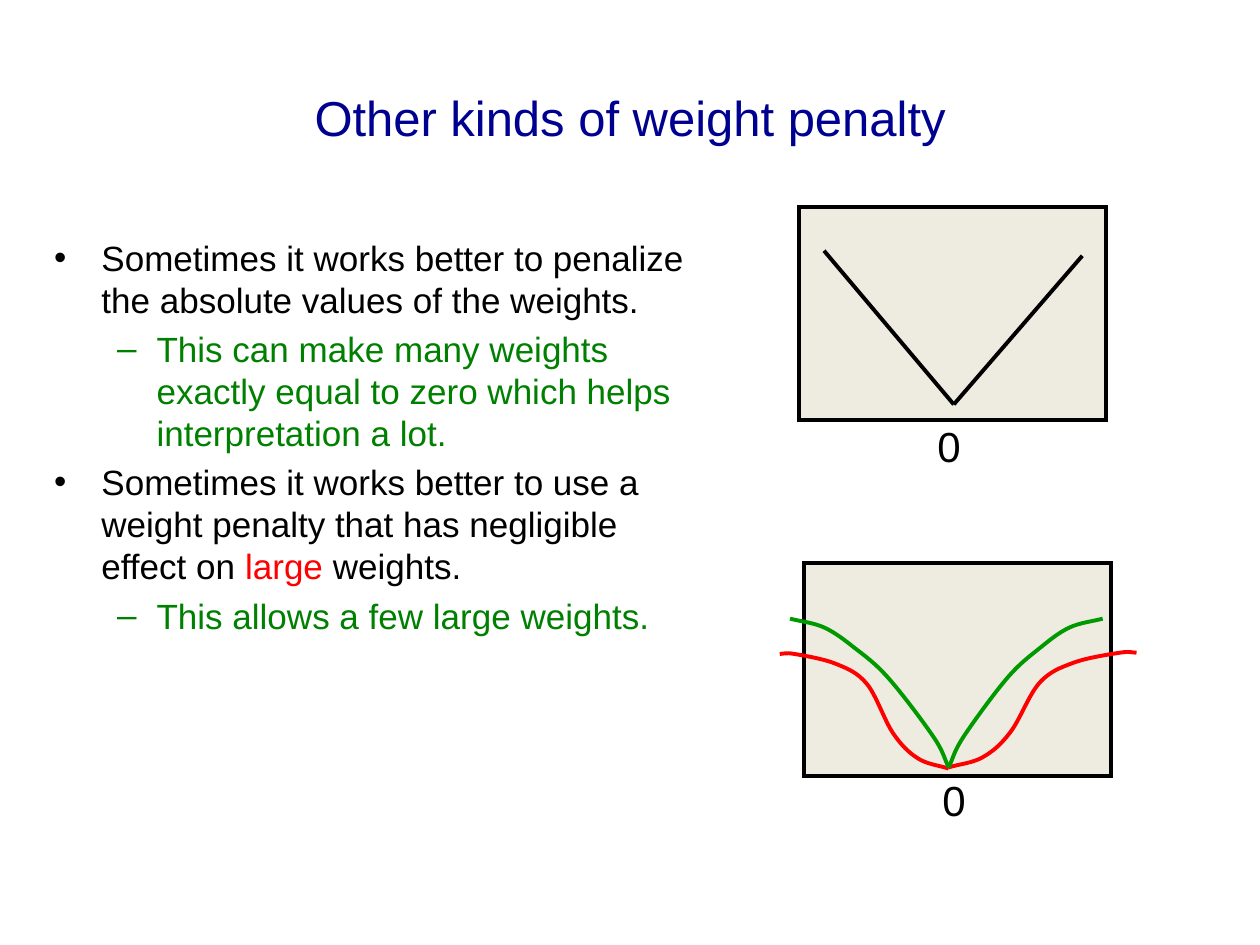
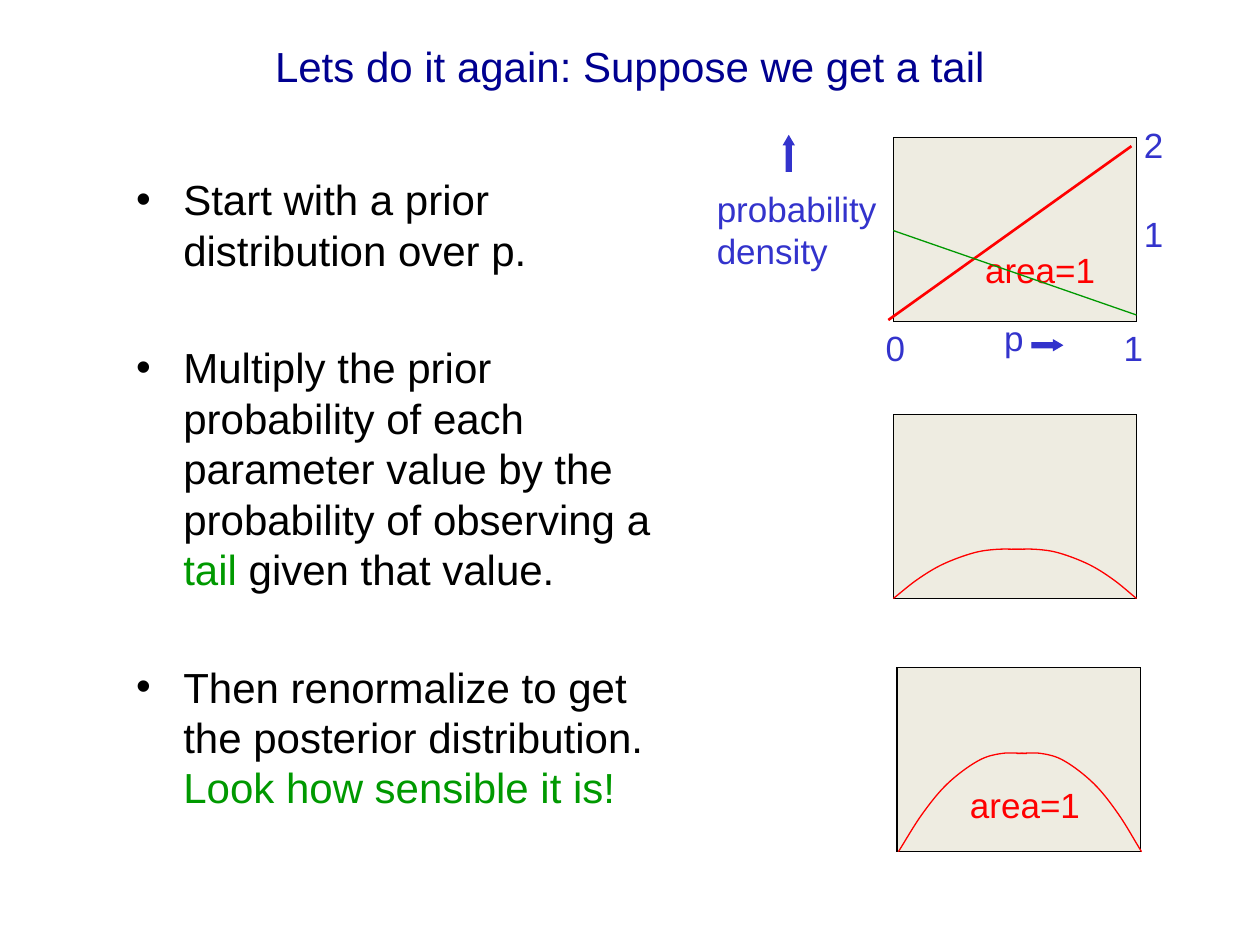
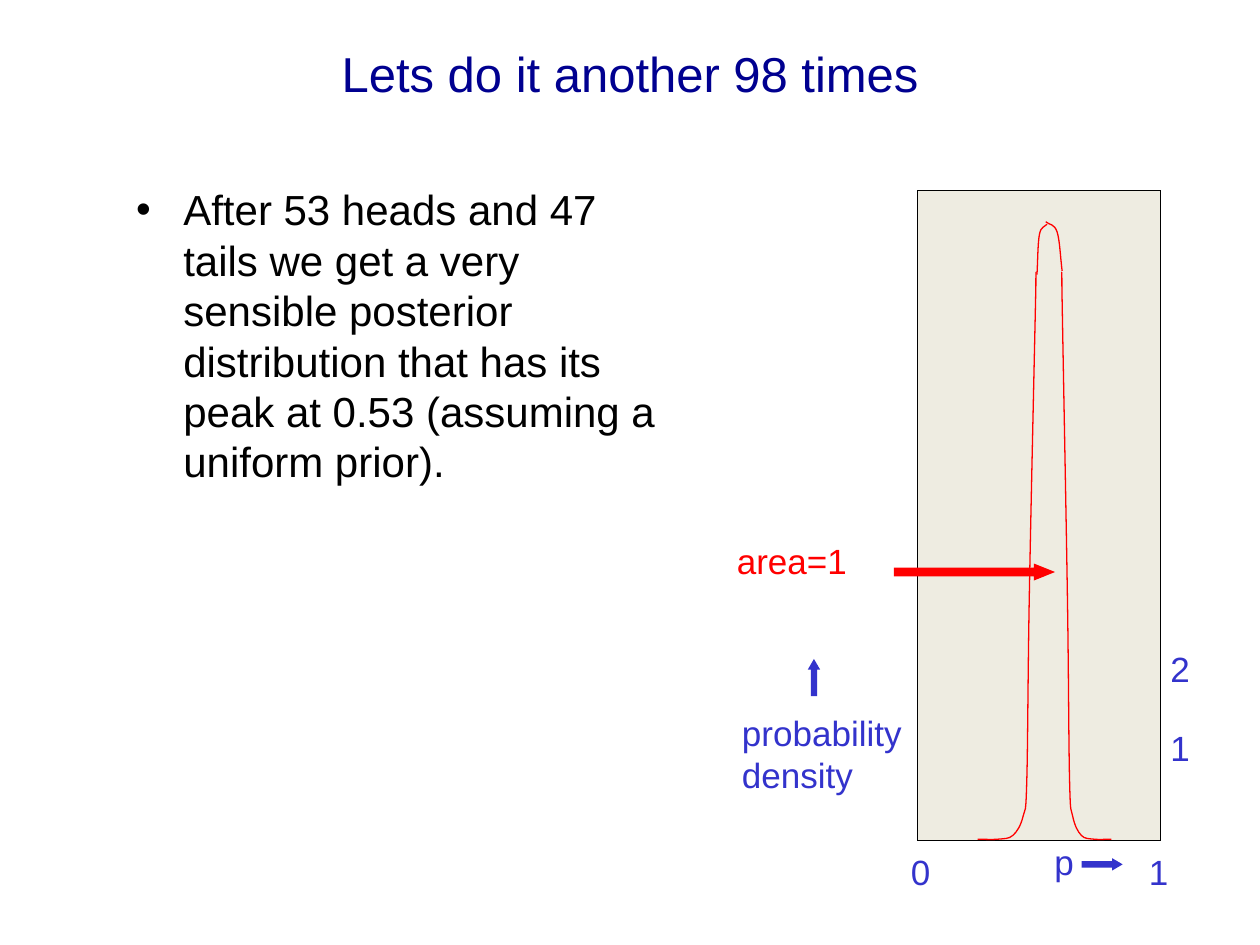
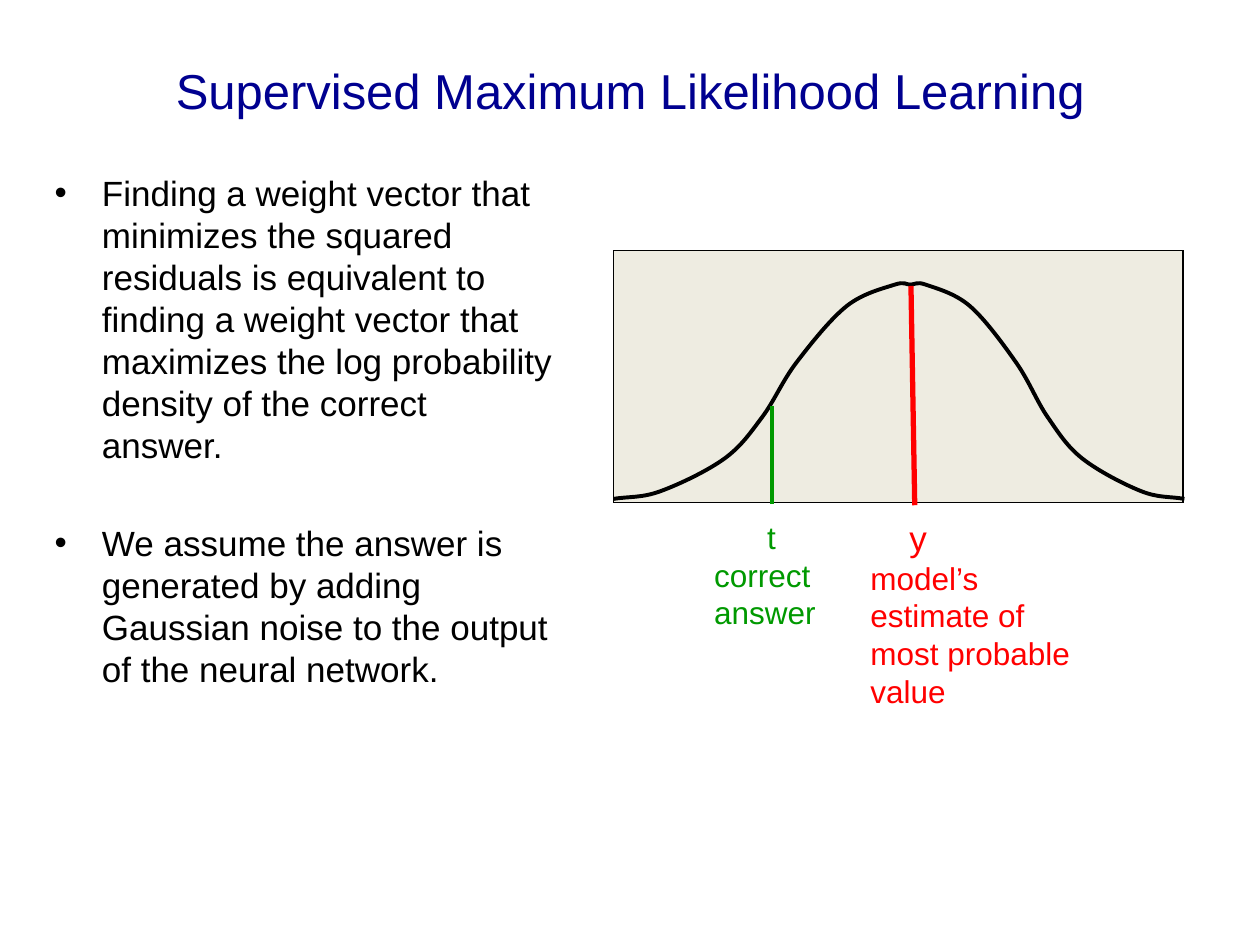
from pptx import Presentation
from pptx.dml.color import RGBColor
from pptx.enum.shapes import MSO_CONNECTOR as Connector, MSO_SHAPE as Preset
from pptx.enum.text import MSO_ANCHOR as Anchor, MSO_AUTO_SIZE as AutoSize, PP_ALIGN as Align
from pptx.oxml.ns import qn
from pptx.util import Emu, Inches, Pt
from lxml.etree import SubElement

# Shared style
FONT = "Arial"
BLACK = RGBColor(0x00, 0x00, 0x00)
NAVY = RGBColor(0x00, 0x00, 0x90)
BLUE = RGBColor(0x33, 0x33, 0xCC)
RED = RGBColor(0xFF, 0x00, 0x00)
GREEN = RGBColor(0x00, 0x99, 0x00)
DARK_GREEN = RGBColor(0x00, 0x80, 0x00)
CREAM = RGBColor(0xEE, 0xEC, 0xE1)

# Square grid cells: ten columns across, seven and a half rows down
COLUMNS = 10
TITLE_HEIGHT = 1.25
LABEL_HEIGHT = 0.44


class Deck:
    """Holds the style and the current slide; lengths are grid cells."""

    def __init__(self):
        self.deck = Presentation()
        self.deck.slide_width = Inches(10)
        self.deck.slide_height = Inches(7.5)
        self.cell = self.deck.slide_width / COLUMNS
        self.page = None

    def grid(self, *lengths):
        return [Emu(round(length * self.cell)) for length in lengths]

    def style(self, para, size, color):
        para.font.name = FONT
        para.font.size = Pt(size)
        para.font.color.rgb = color

    def place(self, box, area):
        box.left, box.top, box.width, box.height = self.grid(*area)

    def add_page(self, title, top, size=28):
        self.page = self.deck.slides.add_slide(self.deck.slide_layouts[1])
        box = self.page.shapes.title
        self.place(box, (0.5, top, COLUMNS - 1, TITLE_HEIGHT))
        box.text_frame.text = title
        box.text_frame.vertical_anchor = Anchor.MIDDLE
        para = box.text_frame.paragraphs[0]
        para.alignment = Align.CENTER
        self.style(para, size, NAVY)

    def bullets(self, area, size, items, gap=None):
        """Each item is a level and its spans; a span is text or (text, color)."""
        box = self.page.placeholders[1]
        self.place(box, area)
        frame = box.text_frame
        frame.auto_size = AutoSize.NONE
        for index, (level, *spans) in enumerate(items):
            para = frame.add_paragraph() if index else frame.paragraphs[0]
            para.level = level
            self.style(para, size, DARK_GREEN if level else BLACK)
            if gap and index:
                para.space_before = Pt(gap)
            for span in spans:
                text, color = (span, None) if isinstance(span, str) else span
                run = para.add_run()
                run.text = text
                if color is not None:
                    run.font.color.rgb = color

    def label(self, area, lines, color, size=20, indent=0, wrap=True):
        """Text box; a line is text or (text, size), the first one indented."""
        box = self.page.shapes.add_textbox(*self.grid(*area))
        frame = box.text_frame
        frame.word_wrap = wrap
        frame.auto_size = AutoSize.SHAPE_TO_FIT_TEXT
        for index, line in enumerate([lines] if isinstance(lines, str) else lines):
            text, line_size = (line, size) if isinstance(line, str) else line
            para = frame.add_paragraph() if index else frame.paragraphs[0]
            para.text = text
            self.style(para, line_size, color)
            if indent and not index:
                para._p.get_or_add_pPr().set("indent", str(Inches(indent)))

    def outline(self, shape, color, width):
        shape.line.color.rgb = color
        shape.line.width = Pt(width)

    def shape(self, preset, area, fill, line, width=0.75, head=None):
        shape = self.page.shapes.add_shape(preset, *self.grid(*area))
        shape.shadow.inherit = False
        shape.fill.solid()
        shape.fill.fore_color.rgb = fill
        self.outline(shape, line, width)
        # Sharp corners
        SubElement(shape._element.spPr.find(qn("a:ln")), qn("a:miter"), lim="800000")
        if head is not None:
            shape.adjustments[1] = head

    def panel(self, area, width=0.75):
        self.shape(Preset.RECTANGLE, area, CREAM, BLACK, width)

    def arrow(self, preset, area, color, head):
        self.shape(preset, area, color, color, head=head)

    def line(self, start, end, color, width):
        line = self.page.shapes.add_connector(
            Connector.STRAIGHT, *self.grid(*start, *end))
        self.outline(line, color, width)
        SubElement(line._element.spPr, qn("a:effectLst"))

    def curve(self, origin, points, color, width=0.75, stretch=(1, 1)):
        """Smooth line from origin through points given as (across, up)."""
        knots = [self.grid(origin[0] + x * stretch[0], origin[1] - y * stretch[1])
                 for x, y in [(0, 0)] + points]
        builder = self.page.shapes.build_freeform(*knots[0])
        builder.add_line_segments(knots[1:], close=False)
        shape = builder.convert_to_shape()
        shape.shadow.inherit = False
        shape.fill.background()
        self.outline(shape, color, width)
        # Turn each straight piece into a cubic one
        pieces = list(shape._element.iter(qn("a:lnTo")))
        for piece, dots in zip(pieces, smooth(knots)):
            bend = SubElement(piece.getparent(), qn("a:cubicBezTo"))
            for x, y in dots:
                SubElement(bend, qn("a:pt"), x=str(round(x - shape.left)),
                           y=str(round(y - shape.top)))
            piece.getparent().replace(piece, bend)

    def density_axes(self, left, label_top, tick_top, p_left, p_arrow):
        """Axis captions around a density panel; p_arrow is its top and width."""
        self.label((left - 1.5, label_top, 1.61, 0.77), "probability density", BLUE)
        self.label((p_left, tick_top - 0.08, 0.35, LABEL_HEIGHT), "p", BLUE)
        arrow_top, arrow_width = p_arrow
        self.arrow(Preset.RIGHT_ARROW, (p_left + 0.32, arrow_top, arrow_width, 0.08),
                   BLUE, 0.85)
        self.arrow(Preset.UP_ARROW, (left - 0.87, label_top - 0.36, 0.08, 0.28),
                   BLUE, 0.86)
        self.label((left - 0.16, tick_top, 0.51, LABEL_HEIGHT), "0", BLUE)
        self.label((left + 1.73, tick_top, 0.39, LABEL_HEIGHT), "1", BLUE)

    def density_ticks(self, left, tops):
        for text, top in zip("12", tops):
            self.label((left, top, 0.39, LABEL_HEIGHT), text, BLUE)

    def area_label(self, left, top):
        self.label((left, top, 1.3, LABEL_HEIGHT), "area=1", RED)


def smooth(knots):
    """Two controls and the end of each piece of a Catmull-Rom curve."""
    def beyond(end, inner):
        return [2 * a - b for a, b in zip(end, inner)]

    padded = [beyond(knots[0], knots[1]), *knots, beyond(knots[-1], knots[-2])]
    for before, start, end, after in zip(padded, padded[1:], padded[2:], padded[3:]):
        leave = [b + (c - a) / 6 for a, b, c in zip(before, start, end)]
        arrive = [c - (d - b) / 6 for b, c, d in zip(start, end, after)]
        yield leave, arrive, end


def weight_penalty(deck):
    deck.add_page("Other kinds of weight penalty", 0.3)
    deck.bullets((0.33, 1.83, 5.32, 4.95), 20, [
        (0, "Sometimes it works better to penalize the absolute values of the weights."),
        (1, "This can make many weights exactly equal to zero which helps "
            "interpretation a lot."),
        (0, "Sometimes it works better to use a weight penalty that has negligible "
            "effect on ", ("large", RED), " weights."),
        (1, "This allows a few large weights."),
    ])

    # Panels with the absolute-value penalty
    for left, top in ((6.38, 4.47), (6.34, 1.64)):
        deck.panel((left, top, 2.44, 1.69), 2.25)
    for end in ((8.59, 2.03), (6.54, 1.99)):
        deck.line((7.57, 3.21), end, BLACK, 2.25)
    for left, top in ((7.34, 3.29), (7.38, 6.1)):
        deck.label((left, top, 0.39, 0.5), "0", BLACK, 24, wrap=False)

    # Penalties that flatten out, mirrored about zero
    bowl = [(0.27, 0.08), (0.49, 0.28), (0.72, 0.67), (0.99, 0.83),
            (1.36, 0.91), (1.49, 0.91)]
    cusp = [(0.12, 0.24), (0.48, 0.71), (0.75, 0.95), (0.99, 1.11), (1.26, 1.18)]
    for points, color, bottom, side in (
            (bowl, RED, 6.09, 1), (bowl, RED, 6.1, -0.9),
            (cusp, GREEN, 6.09, -1), (cusp, GREEN, 6.09, 0.97)):
        deck.curve((7.53, bottom), points, color, 2.25, (side, 1))


def get_a_tail(deck):
    deck.add_page("Lets do it again: Suppose we get a tail", -0.1, 24)
    deck.bullets((0.98, 1.33, 4.42, 5.75), 24, [
        (0, "Start with a prior distribution over p."),
        (0, "Multiply the prior probability of each parameter value by the "
            "probability of observing a ", ("tail ", GREEN), "given that value."),
        (0, "Then renormalize to get the posterior distribution. ",
            ("Look how sensible it is!", GREEN)),
    ], gap=38.4)

    # Prior, product and posterior panels
    for left, top in ((7.09, 1.09), (7.09, 3.29), (7.12, 5.3)):
        deck.panel((left, top, 1.93, 1.46))
    deck.density_axes(7.09, 1.44, 2.54, 7.87, (2.7, 0.24))
    deck.density_ticks(8.98, (1.64, 0.93))
    deck.line((7.05, 2.54), (8.98, 1.16), RED, 1.5)
    deck.area_label(7.72, 1.92)
    deck.area_label(7.6, 6.17)

    # The posterior is the product at twice the height
    dome = [(0.19, 0.15), (0.39, 0.27), (0.63, 0.36), (0.82, 0.39), (1.02, 0.39)]
    for left, bottom, height in ((7.09, 4.75, 1), (7.13, 6.76, 2)):
        deck.curve((left, bottom), dome, RED, stretch=(1, height))
        deck.curve((left + 1.93, bottom), dome, RED, stretch=(-0.97, height))
    deck.line((7.09, 1.83), (9.02, 2.5), GREEN, 0.75)


def many_times(deck):
    deck.add_page("Lets do it another 98 times", -0.05)
    deck.bullets((0.98, 1.41, 4.42, 5.75), 24, [
        (0, "After 53 heads and 47 tails we get a very sensible posterior "
            "distribution that has its peak at 0.53 (assuming a uniform prior)."),
    ])
    deck.panel((7.28, 1.51, 1.93, 5.16))
    deck.density_axes(7.29, 5.6, 6.7, 8.27, (6.82, 0.31))
    deck.density_ticks(9.19, (5.72, 5.09))
    deck.area_label(5.75, 4.23)

    # Narrow peak: two flanks and two caps
    flank = [(0.16, 0), (0.28, 0.03), (0.36, 0.18), (0.39, 0.47),
             (0.41, 1.94), (0.46, 4.3), (0.46, 4.39)]
    deck.curve((7.76, 6.66), flank, RED)
    deck.curve((8.82, 6.66), flank, RED, stretch=(-0.85, 1))
    deck.curve((8.23, 2.18), [(0.02, 0.32), (0.08, 0.4)], RED)
    deck.curve((8.43, 2.15), [(-0.04, 0.31), (-0.13, 0.39)], RED)
    deck.arrow(Preset.RIGHT_ARROW, (7.1, 4.48, 1.26, 0.12), RED, 1.24)


def maximum_likelihood(deck):
    deck.add_page("Supervised Maximum Likelihood Learning", 0.09)
    deck.bullets((1 / 3, 1.31, 4.19, 5.33), 20, [
        (0, "Finding a weight vector that minimizes the squared residuals is "
            "equivalent to finding a weight vector that maximizes the log "
            "probability density of the correct answer."),
        (0, "We assume the answer is generated by adding Gaussian noise to the "
            "output of the neural network."),
    ], gap=32)

    # Gaussian built from one mirrored half
    deck.panel((4.87, 1.99, 4.52, 2))
    half = [(0.37, 0.06), (0.88, 0.32), (1.18, 0.65), (1.45, 1.08),
            (1.85, 1.53), (2.23, 1.7), (2.36, 1.7)]
    deck.curve((4.87, 3.96), half, BLACK, 2.25)
    deck.curve((9.4, 3.96), half, BLACK, 2.25, (-0.92, 1))

    # Target and estimate
    deck.line((6.13, 3.22), (6.13, 4), GREEN, 2.25)
    deck.line((7.26, 4.01), (7.23, 2.27), RED, 3)
    deck.label((5.57, 4.06, 1.54, 1.31), ["t", "correct answer"], GREEN, 18, 0.42)
    deck.label((6.81, 4.05, 2, 1.65),
               ["y", ("model’s estimate of most probable value", 18)], RED, 20, 0.31)


def main():
    deck = Deck()
    for build in (weight_penalty, get_a_tail, many_times, maximum_likelihood):
        build(deck)
    deck.deck.save("out.pptx")


if __name__ == "__main__":
    main()
